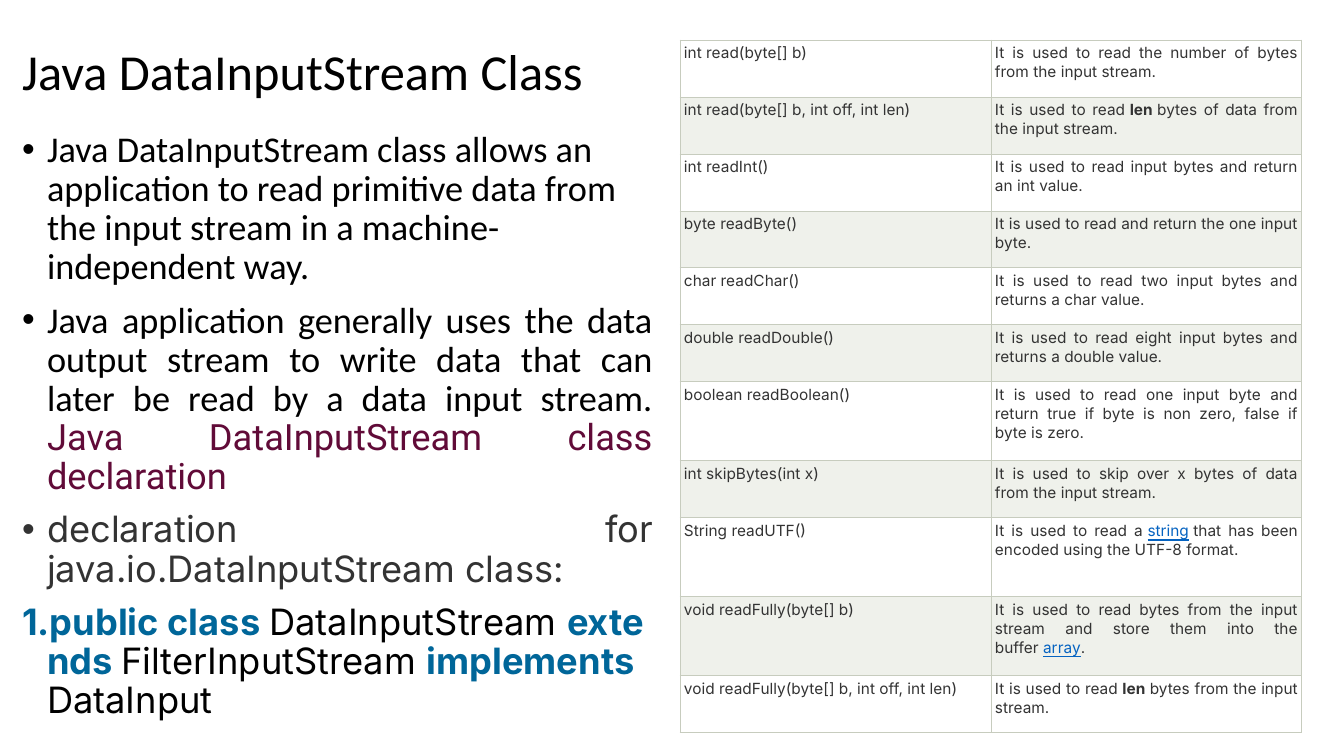
from dataclasses import dataclass
from lxml.etree import SubElement
from pptx import Presentation
from pptx.dml.color import RGBColor
from pptx.enum.text import MSO_ANCHOR, MSO_AUTO_SIZE, PP_ALIGN
from pptx.oxml import parse_xml
from pptx.oxml.ns import nsdecls, qn
from pptx.util import Pt

SCALE = 914400 / 100.8


def px(n):
    return round(n * SCALE)


@dataclass(frozen=True)
class Look:
    font: str
    color: str
    bold: bool = False
    under: bool = False


class Theme:
    title, body, cell = 36, 25.9, 11
    edge, edge_pt = "C7CCBE", 0.75
    fills = "FFFFFF", "EFF1EB"
    main = Look("Calibri", "000000")
    head = Look("Roboto", "610B38")
    note = Look("Inter", "333333")
    code = Look("Inter", "000000")
    key = Look("Inter", "006699", bold=True)
    strong = Look("Inter", "333333", bold=True)
    link = Look("Inter", "0563C1", under=True)


class Deck:
    def __init__(self, theme, wide, high):
        self.theme = theme
        self.prs = Presentation()
        self.prs.slide_width, self.prs.slide_height = px(wide), px(high)
        self.slide = self.prs.slides.add_slide(self.prs.slide_layouts[1])

    def place(self, shape, box):
        shape.left, shape.top, shape.width, shape.height = map(px, box)
        frame = shape.text_frame
        frame.word_wrap, frame.auto_size = True, MSO_AUTO_SIZE.NONE
        return frame

    def put(self, para, text, size, plain, mark=None):
        """Pieces between bars take the mark look."""
        for i, part in enumerate(text.split("|")):
            if not part:
                continue
            look = mark if i % 2 else plain
            run = para.add_run()
            run.text = part
            font = run.font
            font.name, font.size = look.font, Pt(size)
            font.bold, font.underline = look.bold, look.under
            font.color.rgb = RGBColor.from_string(look.color)

    def title(self, text, box):
        frame = self.place(self.slide.shapes.title, box)
        frame.vertical_anchor = MSO_ANCHOR.MIDDLE
        para = frame.paragraphs[0]
        para.alignment, para.line_spacing = PP_ALIGN.LEFT, 0.9
        self.put(para, text, self.theme.title, self.theme.main)

    def points(self, items, box):
        frame = self.place(self.slide.placeholders[1], box)
        frame.vertical_anchor = MSO_ANCHOR.TOP
        for i, (text, align, tag, plain, mark) in enumerate(items):
            para = frame.add_paragraph() if i else frame.paragraphs[0]
            para.alignment, para.line_spacing = align, 0.9
            para.space_before, para.space_after = Pt(10), Pt(0)
            self.bullet(para, tag)
            self.put(para, text, self.theme.body, plain, mark)

    def bullet(self, para, tag):
        props = para._p.get_or_add_pPr()
        props.set("marL", str(px(25)))
        props.set("indent", str(-px(25)))
        if tag == "1.":
            SubElement(props, qn("a:buFont")).set("typeface", "+mj-lt")
            SubElement(props, qn("a:buAutoNum")).set("type", "arabicPeriod")
        else:
            SubElement(props, qn("a:buFont")).set("typeface", "Arial")
            SubElement(props, qn("a:buChar")).set("char", tag)

    def table(self, rows, left, top, wide, highs):
        shape = self.slide.shapes.add_table(
            len(rows), 2, px(left), px(top), px(2 * wide), px(sum(highs)))
        grid = shape.table
        grid.first_row = grid.horz_banding = False
        for col in grid.columns:
            col.width = px(wide)
        for r, (call, use, mark) in enumerate(rows):
            grid.rows[r].height = px(highs[r])
            for c, text in enumerate((call, use)):
                self.cell(grid.cell(r, c), text, mark, self.theme.fills[r % 2])

    def cell(self, cell, text, mark, fill):
        cell.margin_left = cell.margin_right = px(4)
        cell.margin_top = cell.margin_bottom = px(4)
        cell.fill.solid()
        cell.fill.fore_color.rgb = RGBColor.from_string(fill)
        self.border(cell)
        para = cell.text_frame.paragraphs[0]
        para.alignment = PP_ALIGN.JUSTIFY
        self.put(para, text, self.theme.cell, self.theme.note, mark)

    def border(self, cell):
        props = cell._tc.get_or_add_tcPr()
        for i, side in enumerate("LRTB"):
            props.insert(i, parse_xml(
                f'<a:ln{side} {nsdecls("a")} w="{Pt(self.theme.edge_pt)}">'
                f'<a:solidFill><a:srgbClr val="{self.theme.edge}"/></a:solidFill>'
                f'</a:ln{side}>'))


look = Theme()
deck = Deck(look, 1344, 756)

# Heading and bullet list
deck.title("Java DataInputStream Class", (12, 40, 794, 69))
left, just = PP_ALIGN.LEFT, PP_ALIGN.JUSTIFY
deck.points([
    ("Java DataInputStream class allows an application to read primitive data "
     "from the input stream in a machine-independent way.",
     left, "•", look.main, None),
    ("Java application generally uses the data output stream to write data that "
     "can later be read by a data input stream. "
     "|Java DataInputStream class declaration",
     just, "•", look.main, look.head),
    ("declaration for java.io.DataInputStream class:",
     just, "•", look.note, None),
    ("|public\u00a0class\u00a0|DataInputStream\u00a0|extends\u00a0"
     "|FilterInputStream\u00a0|implements\u00a0|DataInput",
     just, "1.", look.code, look.key),
], (12, 126, 651, 555))

# Method table
calls = [
    ("int read(byte[] b)",
     "It is used to read the number of bytes from the input stream.", None),
    ("int read(byte[] b, int off, int len)",
     "It is used to read\u00a0|len|\u00a0bytes of data from the input stream.",
     look.strong),
    ("int readInt()",
     "It is used to read input bytes and return an int value.", None),
    ("byte readByte()",
     "It is used to read and return the one input byte.", None),
    ("char readChar()",
     "It is used to read two input bytes and returns a char value.", None),
    ("double readDouble()",
     "It is used to read eight input bytes and returns a double value.", None),
    ("boolean readBoolean()",
     "It is used to read one input byte and return true if byte is non zero, "
     "false if byte is zero.", None),
    ("int skipBytes(int x)",
     "It is used to skip over x bytes of data from the input stream.", None),
    ("String readUTF()",
     "It is used to read a\u00a0|string|\u00a0that has been encoded using the "
     "UTF-8 format.", look.link),
    ("void readFully(byte[] b)",
     "It is used to read bytes from the input stream and store them into the "
     "buffer\u00a0|array|.", look.link),
    ("void readFully(byte[] b, int off, int len)",
     "It is used to read\u00a0|len|\u00a0bytes from the input stream.",
     look.strong),
]
tall = {6, 8, 9}
highs = [79 if r in tall else 57 for r in range(len(calls))]
deck.table(calls, 680, 40, 311, highs)

deck.prs.save("out.pptx")
